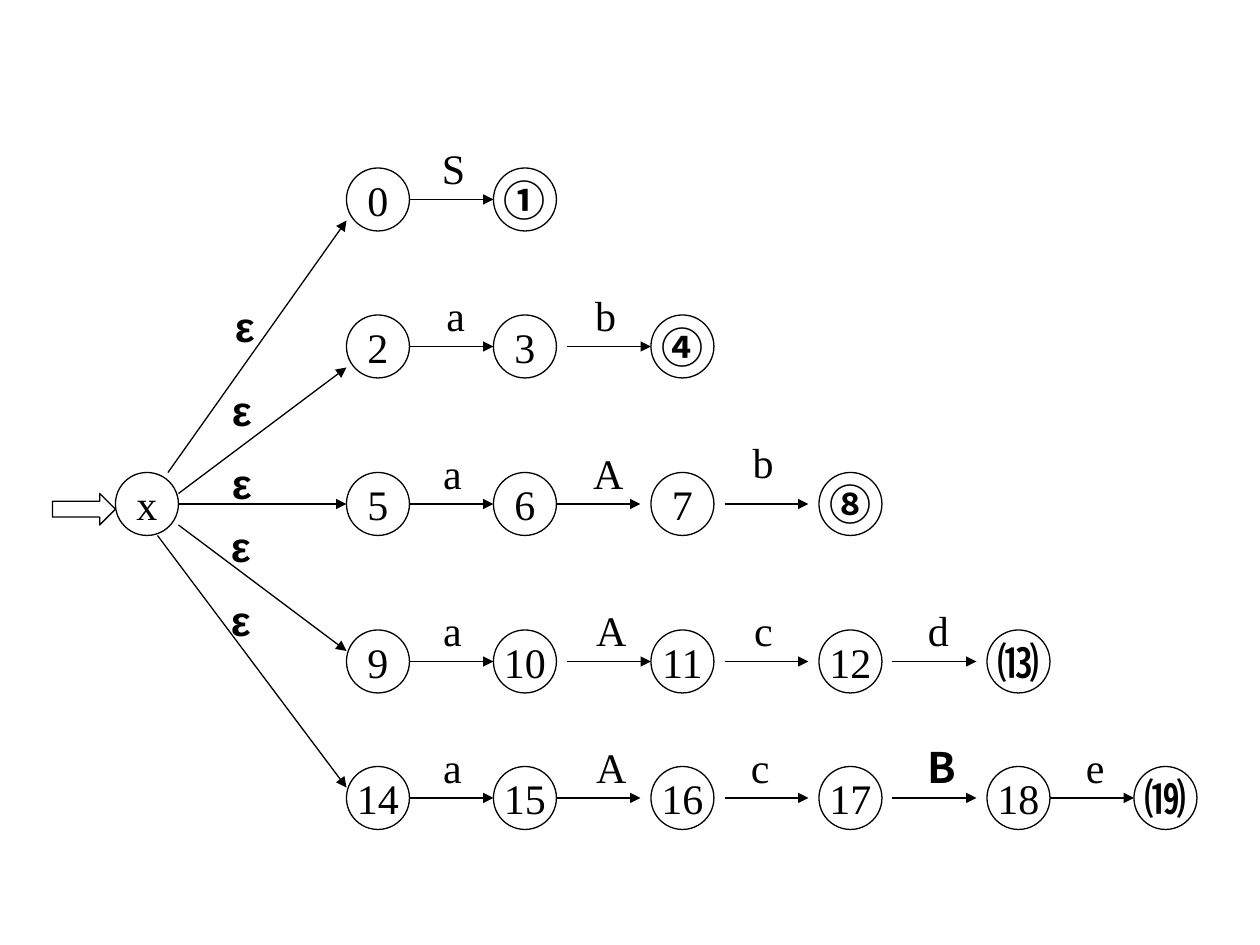
"""Build a slide with a nondeterministic automaton of five branches."""
from dataclasses import dataclass

from lxml import etree
from pptx import Presentation
from pptx.dml.color import RGBColor
from pptx.enum.shapes import MSO_CONNECTOR, MSO_SHAPE
from pptx.enum.text import MSO_ANCHOR, MSO_AUTO_SIZE, PP_ALIGN
from pptx.oxml.ns import qn
from pptx.util import Pt

OVAL = MSO_SHAPE.OVAL
RIGHT_ARROW = MSO_SHAPE.RIGHT_ARROW
STRAIGHT = MSO_CONNECTOR.STRAIGHT
MIDDLE = MSO_ANCHOR.MIDDLE
CENTER = PP_ALIGN.CENTER
FIT_SHAPE = MSO_AUTO_SIZE.SHAPE_TO_FIT_TEXT


@dataclass(frozen=True)
class Theme:
    ink: RGBColor = RGBColor(0, 0, 0)
    paper: RGBColor = RGBColor(255, 255, 255)
    text_size: Pt = Pt(24)
    line_width: Pt = Pt(0.75)
    serif: str = "Times New Roman"
    sans: str = "Arial"
    wide: str = "Noto Sans CJK SC"


THEME = Theme()
PX = 7620
NODE = 60
EDGE = 80
LABEL_WIDTH, LABEL_HEIGHT, LABEL_RISE = 42, 60, 30
COLUMNS = (330, 470, 620, 780, 940, 1080)
START = (110, 450)
ENTRY = (50, 470, 60, 30)

# Each edge: label, gap after its state, label centre, extra label rise.
BRANCHES = [
    {"top": 160, "states": "0 ①", "edges": [("S", 0, 430, 0)],
     "spoke": (160, 450, 210), "epsilon": (233, 280)},
    {"top": 300, "states": "2 3 ④", "edges": [("a", 0, 434, 0), ("b", 10, 576, 0)],
     "spoke": (170, 470, 350), "epsilon": (230, 360)},
    {"top": 450, "states": "5 6 7 ⑧",
     "edges": [("a", 0, 431, 0), ("A", 0, 574, 0), ("b", 10, 726, 10)],
     "spoke": (170, 480, 480), "epsilon": (230, 430)},
    {"top": 600, "states": "9 10 11 12 ⒀",
     "edges": [("a", 0, 431, 0), ("A", 10, 577, 0), ("c", 10, 727, 0), ("d", 10, 893, 0)],
     "spoke": (170, 500, 620), "epsilon": (229, 490)},
    {"top": 730, "states": "14 15 16 17 18 ⒆",
     "edges": [("a", 0, 431, 0), ("A", 0, 577, 0), ("c", 10, 724, 0), ("B", 10, 893, 0),
               ("e", 0, 1043, 0)],
     "spoke": (150, 510, 750), "epsilon": (229, 560)},
]


def scaled(*lengths):
    return [length * PX for length in lengths]


def write(shape, text, font=THEME.serif, bold=False):
    frame = shape.text_frame
    frame.word_wrap = False
    frame.vertical_anchor = MIDDLE
    paragraph = frame.paragraphs[0]
    paragraph.alignment = CENTER
    run = paragraph.add_run()
    run.text = text
    run.font.name = font
    run.font.size = THEME.text_size
    run.font.bold = bold
    run.font.color.rgb = THEME.ink
    etree.SubElement(run._r.get_or_add_rPr(), qn("a:ea"), typeface=font)


def add_outline(slide, kind, left, top, width, height):
    shape = slide.shapes.add_shape(kind, *scaled(left, top, width, height))
    shape.shadow.inherit = False
    shape.fill.solid()
    shape.fill.fore_color.rgb = THEME.paper
    shape.line.color.rgb = THEME.ink
    shape.line.width = THEME.line_width
    return shape


def add_state(slide, left, top, text, **style):
    write(add_outline(slide, OVAL, left, top, NODE, NODE), text, **style)


def add_arrow(slide, *ends):
    connector = slide.shapes.add_connector(STRAIGHT, *scaled(*ends))
    connector.line.color.rgb = THEME.ink
    connector.line.width = THEME.line_width
    properties = connector._element.spPr
    etree.SubElement(properties.find(qn("a:ln")), qn("a:tailEnd"), type="triangle")
    etree.SubElement(properties, qn("a:effectLst"))


def add_label(slide, center, top, text, **style):
    left = center - LABEL_WIDTH // 2
    box = slide.shapes.add_textbox(*scaled(left, top, LABEL_WIDTH, LABEL_HEIGHT))
    write(box, text, **style)
    box.text_frame.auto_size = FIT_SHAPE


def add_branch(slide, branch):
    top = branch["top"]
    middle = top + NODE // 2
    accepting = {"font": THEME.wide, "bold": True}
    states = branch["states"].split()
    for column, state in zip(COLUMNS, states):
        style = accepting if state == states[-1] else {}
        add_state(slide, column, top, state, **style)
    for column, (label, gap, center, rise) in zip(COLUMNS, branch["edges"]):
        begin = column + NODE + gap
        add_arrow(slide, begin, middle, begin + EDGE, middle)
        style = accepting if label == "B" else {}
        add_label(slide, center, top - LABEL_RISE - rise, label, **style)
    begin_x, begin_y, end_y = branch["spoke"]
    add_arrow(slide, begin_x, begin_y, COLUMNS[0], end_y)
    add_label(slide, *branch["epsilon"], "ε", font=THEME.sans, bold=True)


def main():
    presentation = Presentation()
    presentation.slide_width, presentation.slide_height = scaled(1200, 900)
    slide = presentation.slides.add_slide(presentation.slide_layouts[6])
    add_state(slide, *START, "x")
    for branch in BRANCHES:
        add_branch(slide, branch)
    add_outline(slide, RIGHT_ARROW, *ENTRY)
    presentation.save("out.pptx")


if __name__ == "__main__":
    main()
